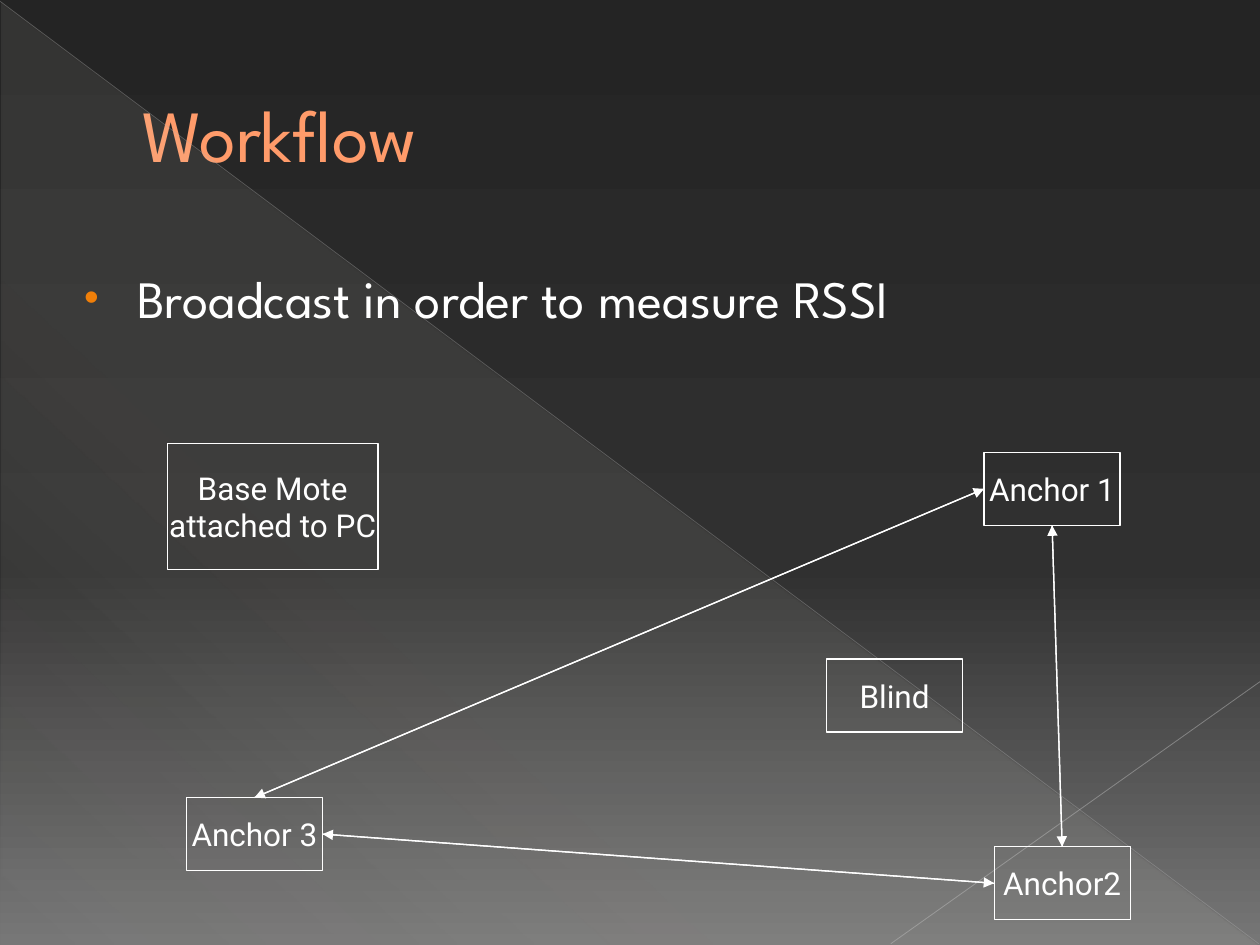
from lxml.etree import SubElement
from pptx import Presentation
from pptx.dml.color import RGBColor
from pptx.enum.shapes import MSO_CONNECTOR, MSO_SHAPE
from pptx.enum.text import MSO_ANCHOR, MSO_AUTO_SIZE, PP_ALIGN
from pptx.oxml.ns import qn
from pptx.util import Inches, Pt

WHITE = RGBColor(0xFF, 0xFF, 0xFF)
CORAL = RGBColor(0xFF, 0x9B, 0x6A)
ORANGE = RGBColor(0xF0, 0x7F, 0x09)
SILVER = RGBColor(0xB6, 0xB6, 0xB6)
GREY = RGBColor(0xBF, 0xBF, 0xBF)
CREAM = RGBColor(0xE3, 0xDE, 0xD1)
NIGHT = RGBColor(0x24, 0x24, 0x24)
COAL = RGBColor(0x30, 0x30, 0x30)
SMOKE = RGBColor(0x76, 0x76, 0x76)
HEAD, BODY = "League Spartan", "Roboto"
TOP, LEFT, BOTTOM, RIGHT = range(4)  # connection sites of a rectangle


def add(parent, tag, **attrs):
    return SubElement(parent, qn(tag), {k: str(v) for k, v in attrs.items()})


def fade(color, alpha):
    add(color, "a:alpha", val=alpha * 1000)


def blend(root, stops, angle):
    """Refill the first gradient in root with (position, colour, alpha) stops."""
    grad = next(root.iter(qn("a:gradFill")))
    for child in list(grad):
        grad.remove(child)
    group = add(grad, "a:gsLst")
    for pos, color, alpha in stops:
        stop = add(group, "a:gs", pos=pos * 1000)
        fade(add(stop, "a:srgbClr", val=color), alpha)
    add(grad, "a:lin", ang=angle * 60000, scaled=0)


class Deck:
    def __init__(self):
        self.file = Presentation()
        self.file.slide_width, self.file.slide_height = Inches(10), Inches(7.5)
        self.slide = self.file.slides.add_slide(self.file.slide_layouts[5])
        self.shapes = self.slide.shapes

    def font(self, para, name, size, color):
        para.font.name, para.font.size = name, Pt(size)
        para.font.color.rgb = color

    def backdrop(self, stops, angle):
        self.slide.background.fill.gradient()
        blend(self.slide.background._cSld, stops, angle)

    def wedge(self, x, y, w, h, stops, angle):
        shape = self.shapes.add_shape(
            MSO_SHAPE.RIGHT_TRIANGLE, Inches(x), Inches(y), Inches(w), Inches(h))
        shape.shadow.inherit = False
        shape.line.fill.background()
        shape.fill.gradient()
        blend(shape._element.spPr, stops, angle)

    def line(self, x1, y1, x2, y2, color=WHITE, width=0.75, alpha=100):
        line = self.shapes.add_connector(
            MSO_CONNECTOR.STRAIGHT, Inches(x1), Inches(y1), Inches(x2), Inches(y2))
        line.line.color.rgb, line.line.width = color, Pt(width)
        if alpha < 100:
            fade(next(line._element.spPr.iter(qn("a:srgbClr"))), alpha)
        add(line._element.spPr, "a:effectLst")
        return line

    def arrow(self, start, site, end, goal):
        line = self.line(0, 0, 1, 1)
        line.begin_connect(start, site)
        line.end_connect(end, goal)
        add(line.line._get_or_add_ln(), "a:tailEnd", type="triangle")

    def title(self, text, x, y, w, h):
        title = self.shapes.title
        title.left, title.top = Inches(x), Inches(y)
        title.width, title.height = Inches(w), Inches(h)
        frame = title.text_frame
        frame.text = text
        frame.auto_size = MSO_AUTO_SIZE.NONE
        frame.vertical_anchor = MSO_ANCHOR.MIDDLE
        para = frame.paragraphs[0]
        para.alignment = PP_ALIGN.LEFT
        para._p.get_or_add_pPr().set("marL", str(Inches(0.53)))
        self.font(para, HEAD, 42, CORAL)

    def bullet(self, text, x, y, w, h):
        frame = self.shapes.add_textbox(
            Inches(x), Inches(y), Inches(w), Inches(h)).text_frame
        frame.word_wrap = True
        frame.text = text
        para = frame.paragraphs[0]
        para.space_before = Pt(6)
        self.font(para, HEAD, 30, WHITE)
        props = para._p.get_or_add_pPr()
        props.set("marL", str(Inches(0.49)))
        props.set("indent", str(Inches(-0.42)))
        marks = [add(props, "a:buClr"), add(props, "a:buSzPct", val=80000),
                 add(props, "a:buFont", typeface="Arial"),
                 add(props, "a:buChar", char="•")]
        add(marks[0], "a:srgbClr", val=ORANGE)
        for mark in marks:  # bullet marks come before the run defaults
            props.find(qn("a:defRPr")).addprevious(mark)

    def box(self, text, x, y, w=1.08, h=0.58):
        shape = self.shapes.add_shape(
            MSO_SHAPE.RECTANGLE, Inches(x), Inches(y), Inches(w), Inches(h))
        shape.shadow.inherit = False
        shape.fill.background()
        shape.line.color.rgb, shape.line.width = WHITE, Pt(0.75)
        frame = shape.text_frame
        frame.text = text
        frame.word_wrap = False
        frame.vertical_anchor = MSO_ANCHOR.MIDDLE
        for para in frame.paragraphs:
            para.alignment = PP_ALIGN.CENTER
            self.font(para, BODY, 18, WHITE)
        return shape


def main():
    deck = Deck()

    # Backdrop
    deck.backdrop([(0, NIGHT, 100), (60, COAL, 100), (100, SMOKE, 100)], 90)
    deck.wedge(0.01, 0.02, 9.98, 7.48,
               [(0, CREAM, 10), (70, CREAM, 8), (100, CREAM, 1)], 133)
    deck.line(0, 0.01, 9.99, 7.49, SILVER, 0.39, 35)
    deck.line(10, 5.41, 7.07, 7.49, GREY, 0.47, 45)

    # Heading and bullet
    deck.title("Workflow", 0.5, 0.29, 9, 1.53)
    deck.bullet("Broadcast in order to measure RSSI", 0.5, 2.06, 9.5, 5)

    # Motes
    deck.box("Base Mote\nattached to PC", 1.33, 3.52, 1.67, 1)
    one = deck.box("Anchor 1", 7.81, 3.59)
    two = deck.box("Anchor2", 7.89, 6.72)
    three = deck.box("Anchor 3", 1.48, 6.33)
    deck.box("Blind", 6.56, 5.23)

    # Anchors broadcast to each other, one arrow each way
    for a, b in [((two, TOP), (one, BOTTOM)),
                 ((two, LEFT), (three, RIGHT)),
                 ((three, TOP), (one, LEFT))]:
        deck.arrow(*a, *b)
        deck.arrow(*b, *a)

    deck.file.save("out.pptx")


if __name__ == "__main__":
    main()
